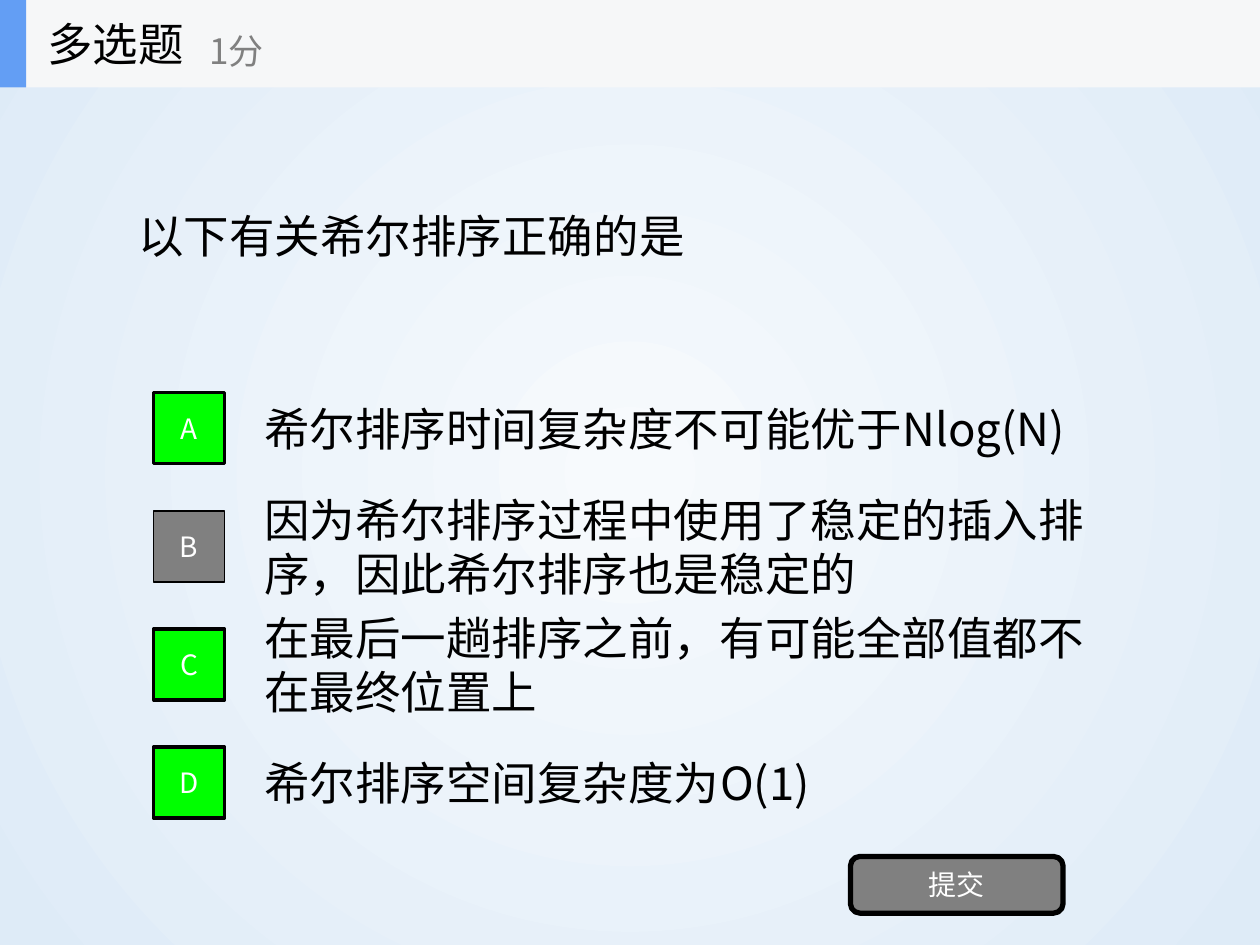
"""Build a multiple-choice question slide about Shell sort."""
from dataclasses import dataclass

from pptx import Presentation
from pptx.dml.color import RGBColor
from pptx.enum.shapes import MSO_SHAPE
from pptx.enum.text import MSO_ANCHOR, PP_ALIGN
from pptx.oxml.ns import qn
from pptx.oxml.xmlchemy import OxmlElement
from pptx.shapes.autoshape import Shape
from pptx.slide import Slide
from pptx.util import Pt

RECTANGLE = MSO_SHAPE.RECTANGLE
ROUNDED = MSO_SHAPE.ROUNDED_RECTANGLE
MIDDLE = MSO_ANCHOR.MIDDLE
LEFT = PP_ALIGN.LEFT
CENTER = PP_ALIGN.CENTER

FONT = "Noto Sans CJK SC"
BLACK = RGBColor(0x00, 0x00, 0x00)
WHITE = RGBColor(0xFF, 0xFF, 0xFF)
GRAY = RGBColor(0x80, 0x80, 0x80)
GREEN = RGBColor(0x00, 0xFF, 0x00)
BLUE = RGBColor(0x63, 0x9E, 0xF4)
HEADER_GRAY = RGBColor(0xF6, 0xF7, 0xF8)
GLOW = RGBColor(0xF7, 0xFA, 0xFD)
PALE_BLUE = RGBColor(0xDE, 0xEB, 0xF7)

WIDTH, HEIGHT = 720, 540
HEADER_HEIGHT = 50
BODY_SIZE, BUTTON_SIZE = 26, 16
OPTION_TOP, OPTION_PITCH = 219.4, 67.5
BADGE_SIZE, BADGE_INSET = 40.5, 5


@dataclass(frozen=True)
class Box:
    left: float
    top: float
    width: float
    height: float

    def lengths(self) -> list[Pt]:
        return [Pt(n) for n in (self.left, self.top, self.width, self.height)]


@dataclass(frozen=True)
class Option:
    letter: str
    text: str
    correct: bool


OPTIONS = (
    Option("A", "希尔排序时间复杂度不可能优于Nlog(N)", True),
    Option("B", "因为希尔排序过程中使用了稳定的插入排序，因此希尔排序也是稳定的", False),
    Option("C", "在最后一趟排序之前，有可能全部值都不在最终位置上", True),
    Option("D", "希尔排序空间复杂度为O(1)", True),
)


def write(shape: Shape, text: str, size: float, color: RGBColor, alignment: PP_ALIGN) -> None:
    frame = shape.text_frame
    frame.word_wrap = True
    frame.vertical_anchor = MIDDLE
    paragraph = frame.paragraphs[0]
    paragraph.text = text
    paragraph.alignment = alignment
    paragraph.font.name = FONT
    paragraph.font.size = Pt(size)
    paragraph.font.color.rgb = color
    east_asian = OxmlElement("a:ea")
    east_asian.set("typeface", FONT)
    paragraph._p.pPr.find(qn("a:defRPr")).append(east_asian)


def add_text(shapes, box: Box, text: str, size: float = BODY_SIZE, color: RGBColor = BLACK) -> None:
    write(shapes.add_textbox(*box.lengths()), text, size, color, LEFT)


def add_block(shapes, kind: MSO_SHAPE, box: Box, fill: RGBColor, line_width: float = 0) -> Shape:
    shape = shapes.add_shape(kind, *box.lengths())
    shape.shadow.inherit = False
    shape.fill.solid()
    shape.fill.fore_color.rgb = fill
    if line_width:
        shape.line.color.rgb = BLACK
        shape.line.width = Pt(line_width)
    else:
        shape.line.fill.background()
    return shape


def add_button(shapes, kind: MSO_SHAPE, box: Box, fill: RGBColor, line_width: float, text: str) -> None:
    write(add_block(shapes, kind, box, fill, line_width), text, BUTTON_SIZE, WHITE, CENTER)


def paint_background(slide: Slide) -> None:
    fill = slide.background.fill
    fill.gradient()
    for stop, color in zip(fill.gradient_stops, (GLOW, PALE_BLUE)):
        stop.color.rgb = color
    linear = next(slide.element.iter(qn("a:lin")))
    radial = OxmlElement("a:path")
    radial.set("path", "circle")
    center = OxmlElement("a:fillToRect")
    for side in "ltrb":
        center.set(side, "50000")
    radial.append(center)
    linear.getparent().replace(linear, radial)


def add_option(slide: Slide, index: int, option: Option) -> None:
    top = OPTION_TOP + index * OPTION_PITCH
    add_text(slide.shapes, Box(144, top, 504, 50.6), option.text)
    fill, line_width = (GREEN, 2) if option.correct else (GRAY, 1)
    badge = Box(87.8, top + BADGE_INSET, BADGE_SIZE, BADGE_SIZE)
    add_button(slide.shapes, RECTANGLE, badge, fill, line_width, option.letter)


def add_header(slide: Slide) -> None:
    shapes = slide.shapes.add_group_shape().shapes
    add_block(shapes, RECTANGLE, Box(0, 0, WIDTH, HEADER_HEIGHT), HEADER_GRAY)
    add_block(shapes, RECTANGLE, Box(0, 0, 15, HEADER_HEIGHT), BLUE)
    add_text(shapes, Box(20, 0, 150, HEADER_HEIGHT), "多选题")
    add_text(shapes, Box(112.5, 9, 180, 40), "1分", 20, GRAY)


def main() -> None:
    presentation = Presentation()
    presentation.slide_width, presentation.slide_height = Pt(WIDTH), Pt(HEIGHT)
    slide = presentation.slides.add_slide(presentation.slide_layouts[6])
    paint_background(slide)
    add_text(slide.shapes, Box(72, HEADER_HEIGHT, 576, 168.75), "以下有关希尔排序正确的是")
    for index, option in enumerate(OPTIONS):
        add_option(slide, index, option)
    add_button(slide.shapes, ROUNDED, Box(486, 489.4, 121.5, 32.4), GRAY, 3, "提交")
    add_header(slide)
    presentation.save("out.pptx")


if __name__ == "__main__":
    main()
